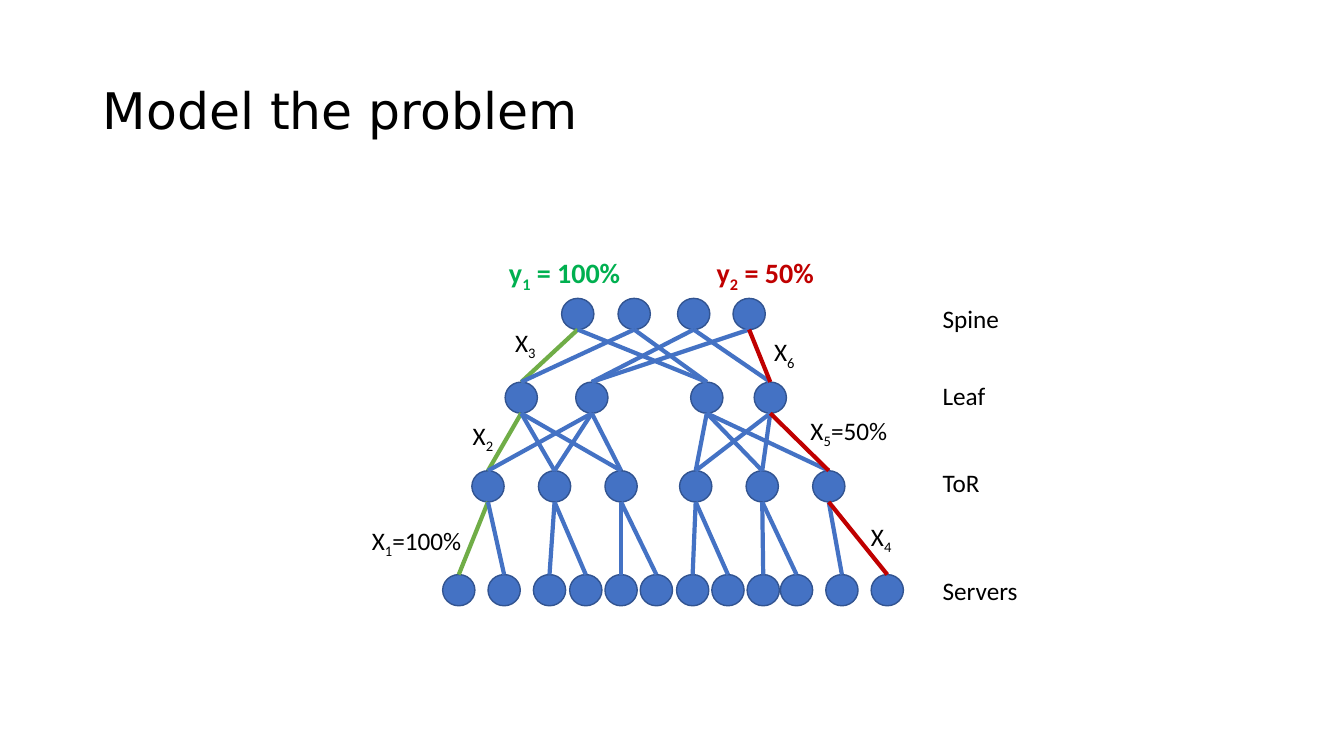
"""Build a slide that models load on a spine-leaf network tree."""
from dataclasses import dataclass

from lxml import etree
from pptx import Presentation
from pptx.dml.color import RGBColor
from pptx.enum.shapes import MSO_CONNECTOR, MSO_SHAPE
from pptx.enum.text import MSO_ANCHOR, MSO_AUTO_SIZE, PP_ALIGN
from pptx.oxml.ns import qn
from pptx.slide import Slide
from pptx.util import Inches, Pt

STRAIGHT = MSO_CONNECTOR.STRAIGHT
NODE_SHAPE = MSO_SHAPE.FLOWCHART_CONNECTOR
MIDDLE = MSO_ANCHOR.MIDDLE
FIXED_SIZE = MSO_AUTO_SIZE.NONE
LEFT = PP_ALIGN.LEFT

SLIDE_WIDTH, SLIDE_HEIGHT = Inches(13.33), Inches(7.5)
COLUMNS, ROWS = 13.33, 7.5
NODE_COLUMNS, NODE_ROWS = 0.32, 0.31

BLACK, BLUE, NODE_EDGE = "000000", "4472C4", "325491"
GREEN, RED, BRIGHT_GREEN = "70AD47", "C00000", "00B050"


@dataclass(frozen=True)
class Layer:
    """A row of nodes, given by its top and the nodes' centre columns."""

    top: float
    centres: tuple[float, ...]


@dataclass(frozen=True)
class Link:
    """A line from a node of one layer to a node of the next."""

    layer: int
    upper: int
    lower: int


@dataclass(frozen=True)
class Label:
    """A text with an optional subscript, placed on the grid."""

    left: float
    top: float
    width: float
    base: str
    subscript: str = ""
    rest: str = ""
    height: float = 0.4
    size: int = 18
    color: str = BLACK
    bold: bool = False


SPINE = Layer(2.96, (5.73, 6.29, 6.88, 7.43))
LEAF = Layer(3.79, (5.17, 5.87, 7.01, 7.64))
TOR = Layer(4.67, tuple(pod + 0.66 * i for pod in (4.84, 6.9) for i in range(3)))
SERVERS = Layer(5.7, (4.55, 5, 5.45, 5.81, 6.16, 6.51,
                      6.87, 7.22, 7.57, 7.9, 8.35, 8.8))
LAYERS = (SPINE, LEAF, TOR, SERVERS)

LINKS = (
    [Link(0, spine, half + spine // 2) for half in (0, 2) for spine in range(4)]
    + [Link(1, leaf, tor) for tor in range(6) for leaf in range(4)
       if leaf // 2 == tor // 3]
    + [Link(2, server // 2, server) for server in range(12)]
)
PATH_COLORS = {
    Link(0, 0, 0): GREEN, Link(1, 0, 0): GREEN, Link(2, 0, 0): GREEN,
    Link(0, 3, 3): RED, Link(1, 3, 5): RED, Link(2, 5, 11): RED,
}

LABELS = (
    Label(9.25, 2.96, 0.91, "Spine"),
    Label(9.25, 3.72, 0.63, "Leaf"),
    Label(9.25, 4.59, 0.57, "ToR"),
    Label(9.25, 5.66, 0.95, "Servers"),
    Label(4.95, 2.49, 1.33, "y", "1", " = 100%", 0.44, 20, BRIGHT_GREEN, True),
    Label(7.01, 2.49, 1.19, "y", "2", " = 50%", 0.44, 20, RED, True),
    Label(3.59, 5.16, 1.26, "X", "1", "=100%"),
    Label(4.59, 4.12, 0.44, "X", "2"),
    Label(5.01, 3.2, 0.44, "X", "3"),
    Label(8.54, 5.12, 0.44, "X", "4"),
    Label(7.94, 4.07, 1.05, "X", "5", "=50%"),
    Label(7.58, 3.29, 0.44, "X", "6"),
)


def rgb(color: str) -> RGBColor:
    """Turn a hex string into a colour."""
    return RGBColor.from_string(color)


def across(columns: float) -> int:
    """Turn grid columns into a length."""
    return round(SLIDE_WIDTH * columns / COLUMNS)


def down(rows: float) -> int:
    """Turn grid rows into a length."""
    return round(SLIDE_HEIGHT * rows / ROWS)


def draw_title(slide: Slide, wording: str) -> None:
    """Place and format the slide's title."""
    title = slide.shapes.title
    title.left, title.top = across(0.92), down(0.4)
    title.width, title.height = across(11.5), down(1.45)
    frame = title.text_frame
    frame.text = wording
    frame.auto_size = FIXED_SIZE
    frame.vertical_anchor = MIDDLE
    paragraph = frame.paragraphs[0]
    paragraph.alignment = LEFT
    paragraph.line_spacing = 0.9
    font = paragraph.runs[0].font
    font.name, font.size = "DejaVu Sans", Pt(36)
    font.color.rgb = rgb(BLACK)


def draw_layer(slide: Slide, layer: Layer) -> None:
    """Draw the nodes of one layer."""
    for centre in layer.centres:
        node = slide.shapes.add_shape(
            NODE_SHAPE, across(centre - NODE_COLUMNS / 2), down(layer.top),
            across(NODE_COLUMNS), down(NODE_ROWS))
        node.shadow.inherit = False
        node.fill.solid()
        node.fill.fore_color.rgb = rgb(BLUE)
        node.line.color.rgb = rgb(NODE_EDGE)
        node.line.width = Pt(1)


def draw_link(slide: Slide, link: Link) -> None:
    """Draw a link from the foot of a node to the head of a lower one."""
    upper, lower = LAYERS[link.layer], LAYERS[link.layer + 1]
    line = slide.shapes.add_connector(
        STRAIGHT,
        across(upper.centres[link.upper]), down(upper.top + NODE_ROWS),
        across(lower.centres[link.lower]), down(lower.top))
    line.line.color.rgb = rgb(PATH_COLORS.get(link, BLUE))
    line.line.width = Pt(3)
    etree.SubElement(line._element.spPr, qn("a:effectLst"))


def draw_label(slide: Slide, label: Label) -> None:
    """Write a label, lowering its subscript."""
    box = slide.shapes.add_textbox(across(label.left), down(label.top),
                                   across(label.width), down(label.height))
    box.text_frame.word_wrap = False
    paragraph = box.text_frame.paragraphs[0]
    for wording in filter(None, (label.base, label.subscript, label.rest)):
        run = paragraph.add_run()
        run.text = wording
        run.font.name, run.font.size = "Calibri", Pt(label.size)
        run.font.bold = label.bold
        run.font.color.rgb = rgb(label.color)
        if wording == label.subscript:
            run._r.get_or_add_rPr().set("baseline", "-25000")


def main() -> None:
    """Build and save the presentation."""
    presentation = Presentation()
    presentation.slide_width = SLIDE_WIDTH
    presentation.slide_height = SLIDE_HEIGHT
    slide = presentation.slides.add_slide(presentation.slide_layouts[5])
    draw_title(slide, "Model the problem")
    for layer in LAYERS:
        draw_layer(slide, layer)
    for link in LINKS:
        draw_link(slide, link)
    for label in LABELS:
        draw_label(slide, label)
    presentation.save("out.pptx")


if __name__ == "__main__":
    main()
